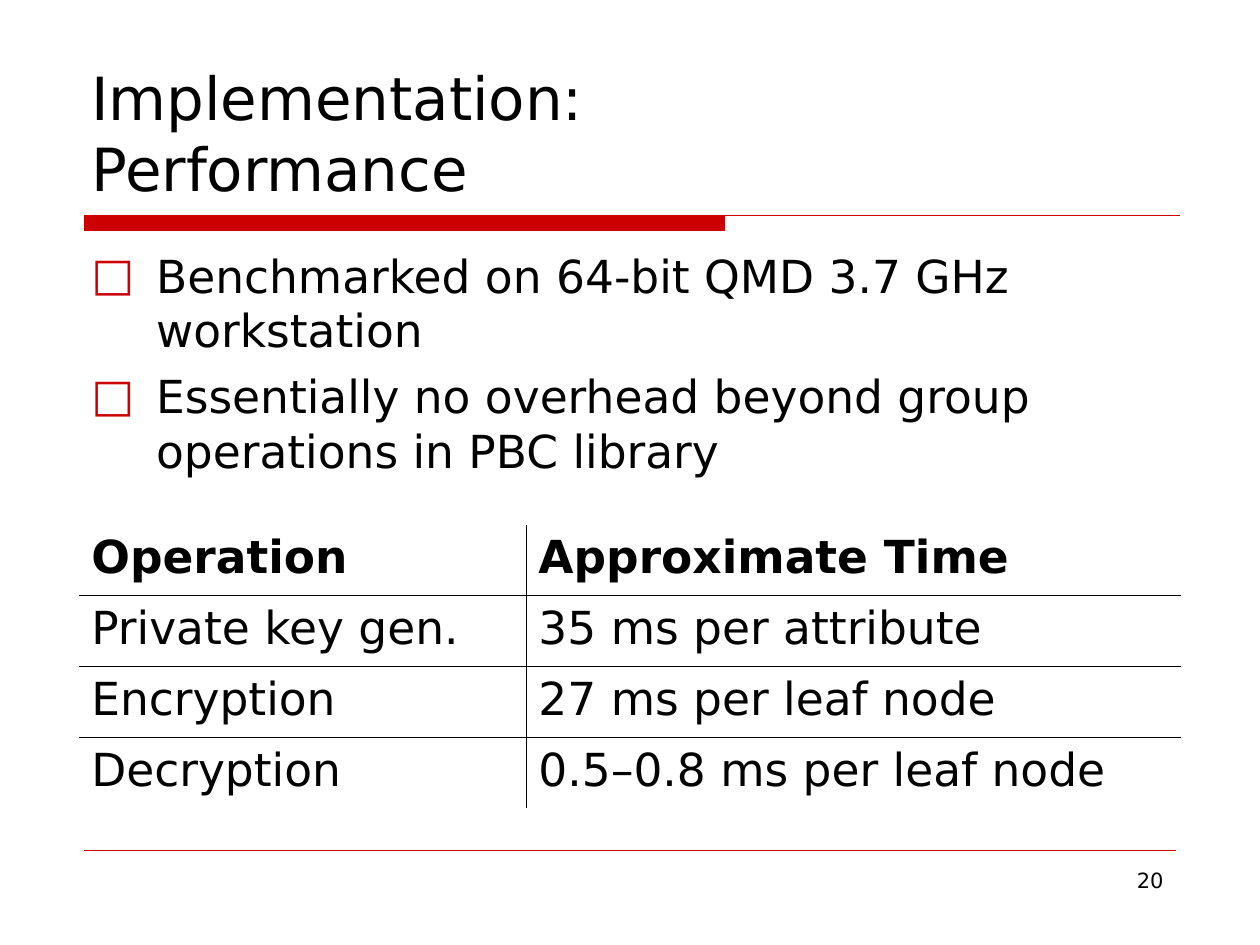
from lxml.etree import SubElement
from pptx import Presentation
from pptx.dml.color import RGBColor
from pptx.enum.shapes import MSO_CONNECTOR
from pptx.enum.text import MSO_ANCHOR, MSO_AUTO_SIZE, PP_ALIGN
from pptx.oxml.ns import qn
from pptx.util import Pt

FONT = "DejaVu Sans"
RED, BLACK = "CC0000", "000000"


def color(hex_str):
    return RGBColor.from_string(hex_str)


def format_text(tf, size, bold=False):
    for p in tf.paragraphs:
        for r in p.runs:
            r.font.name = FONT
            r.font.size = Pt(size)
            r.font.bold = bold
            r.font.color.rgb = color(BLACK)


def place(sp, x, y, w, h):
    sp.left, sp.top, sp.width, sp.height = Pt(x), Pt(y), Pt(w), Pt(h)


def add_rule(s, x, y, w, weight):
    line = s.shapes.add_connector(MSO_CONNECTOR.STRAIGHT,
                                  Pt(x), Pt(y), Pt(x + w), Pt(y))
    line.line.color.rgb = color(RED)
    line.line.width = Pt(weight)
    SubElement(line._element.spPr, qn("a:effectLst"))


def add_title(s, x, y, w, h, text):
    sp = s.shapes.title
    place(sp, x, y, w, h)
    tf = sp.text_frame
    tf.text = text
    tf.auto_size = MSO_AUTO_SIZE.NONE
    tf.vertical_anchor = MSO_ANCHOR.BOTTOM
    tf.paragraphs[0].alignment = PP_ALIGN.LEFT
    format_text(tf, 34)


def add_divider(s, x, y, w, bar_w, bar_h):
    # Thick bar at the left, thin rule across the full width
    fb = s.shapes.build_freeform(Pt(x), Pt(y))
    fb.add_line_segments([(Pt(x + bar_w), Pt(y)), (Pt(x + bar_w), Pt(y + bar_h)),
                          (Pt(x), Pt(y + bar_h))], close=True)
    bar = fb.convert_to_shape()
    bar.shadow.inherit = False
    bar.fill.solid()
    bar.fill.fore_color.rgb = color(RED)
    bar.line.fill.background()
    add_rule(s, x, y, w, 0.75)


def add_bullets(s, x, y, w, h, items):
    sp = s.placeholders[1]
    place(sp, x, y, w, h)
    tf = sp.text_frame
    tf.text = "\n".join(items)
    tf.auto_size = MSO_AUTO_SIZE.NONE
    format_text(tf, 26)
    for p in tf.paragraphs:
        p.space_before = Pt(6.5)
        pPr = p._p.get_or_add_pPr()
        pPr.set("marL", str(Pt(37)))
        pPr.set("indent", str(-Pt(37)))
        clr = SubElement(pPr, qn("a:buClr"))
        SubElement(clr, qn("a:srgbClr"), val=RED)
        SubElement(pPr, qn("a:buFont"), typeface=FONT)
        SubElement(pPr, qn("a:buChar"), char="□")


def set_borders(cell, sides):
    # Border elements come before the fill in the cell properties
    tcPr = cell._tc.get_or_add_tcPr()
    for i, side in enumerate("LRTB"):
        ln = SubElement(tcPr, qn("a:ln" + side), w=str(Pt(0.45)))
        if side in sides:
            fill = SubElement(ln, qn("a:solidFill"))
            SubElement(fill, qn("a:srgbClr"), val=BLACK)
        else:
            SubElement(ln, qn("a:noFill"))
        tcPr.insert(i, ln)


def add_timings(s, x, y, col_widths, row_h, rows):
    n = len(rows)
    table = s.shapes.add_table(n, len(col_widths), Pt(x), Pt(y),
                               Pt(sum(col_widths)), Pt(row_h * n)).table
    table.first_row = table.horz_banding = False
    for col, w in zip(table.columns, col_widths):
        col.width = Pt(w)
    for i, row in enumerate(rows):
        table.rows[i].height = Pt(row_h)
        for j, text in enumerate(row):
            cell = table.cell(i, j)
            cell.text = text
            cell.fill.background()
            cell.text_frame.paragraphs[0].space_before = Pt(6.5)
            format_text(cell.text_frame, 26, bold=i == 0)
            # Inner grid lines only
            sides = "L" if j else "R"
            sides += "T" if i else ""
            sides += "B" if i < n - 1 else ""
            set_borders(cell, sides)


def add_footer(s, x, y, w, number):
    add_rule(s, x, y, w, 0.25)
    box_w = 156
    tf = s.shapes.add_textbox(Pt(x + w - box_w), Pt(y + 6),
                              Pt(box_w), Pt(37.5)).text_frame
    tf.word_wrap = True
    tf.text = number
    tf.paragraphs[0].alignment = PP_ALIGN.RIGHT
    format_text(tf, 12)


def main():
    prs = Presentation()
    prs.slide_width, prs.slide_height = Pt(720), Pt(540)
    s = prs.slides.add_slide(prs.slide_layouts[1])
    add_divider(s, 48, 123, 626.5, 366.5, 9)
    add_footer(s, 48, 486, 624, "20")
    add_title(s, 45, 24, 630, 96, "Implementation:\vPerformance")
    add_bullets(s, 45, 138, 630, 162, [
        "Benchmarked on 64-bit QMD 3.7 GHz workstation",
        "Essentially no overhead beyond group operations in PBC library",
    ])
    add_timings(s, 45, 300, [255.5, 374.5], 40.5, [
        ("Operation", "Approximate Time"),
        ("Private key gen.", "35 ms per attribute"),
        ("Encryption", "27 ms per leaf node"),
        ("Decryption", "0.5–0.8 ms per leaf node"),
    ])
    prs.save("out.pptx")


if __name__ == "__main__":
    main()
